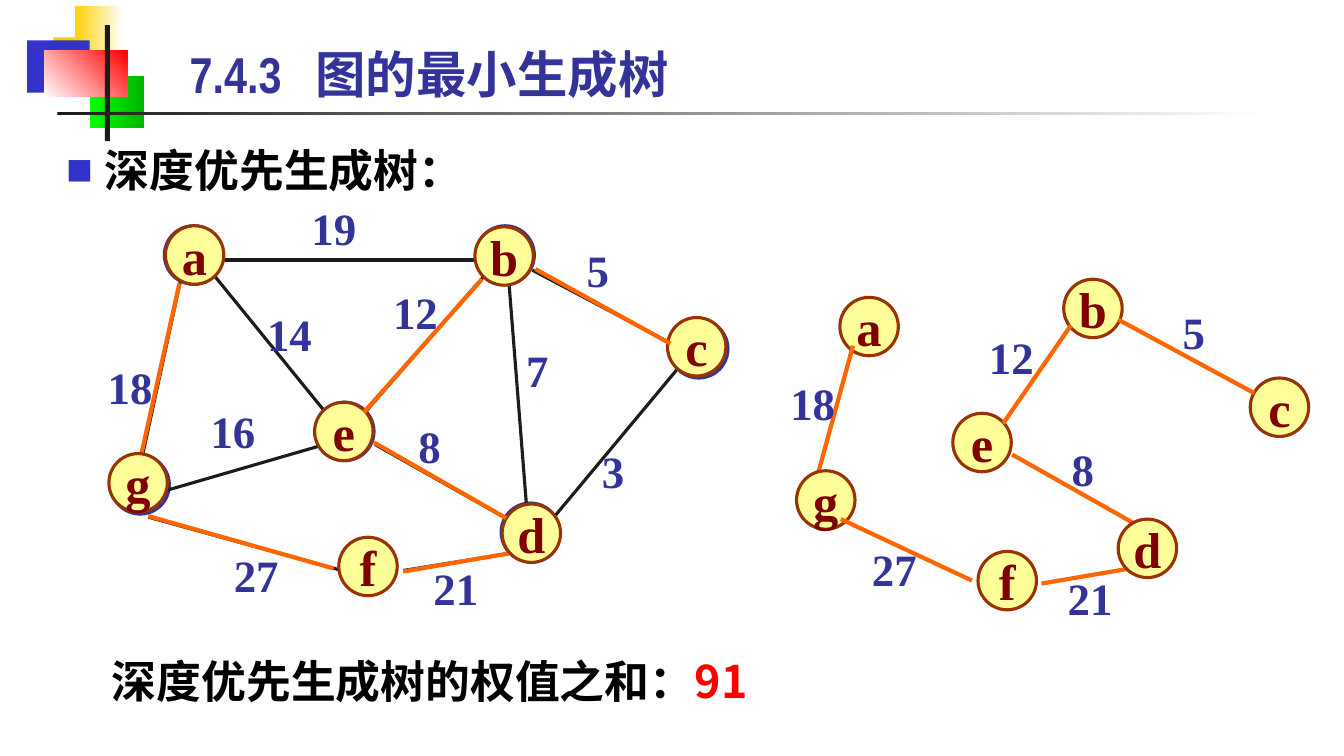
from dataclasses import dataclass
from typing import Optional, Union

from lxml import etree
from pptx import Presentation
from pptx import util as u
from pptx.dml.color import RGBColor
from pptx.enum import shapes, text
from pptx.oxml import ns
from pptx.shapes.autoshape import Shape
from pptx.shapes.shapetree import GroupShapes, SlideShapes
from pptx.text.text import Font, _Paragraph

Canvas = Union[SlideShapes, GroupShapes]


@dataclass(frozen=True)
class Theme:
    heading_font: str = "Arial Narrow"
    cjk_font: str = "Noto Sans CJK SC"
    graph_font: str = "Times New Roman"
    large: int = 36
    medium: int = 32
    navy: str = "333399"
    blue: str = "3333CC"
    ink: str = "1C1C1C"
    black: str = "000000"
    white: str = "FFFFFF"
    red: str = "FF0000"
    gold: str = "FFCF01"
    lime: str = "00FF00"
    green: str = "00B600"
    mint: str = "CCFFCC"
    cream: str = "FFFF99"
    brown: str = "993300"
    maroon: str = "800000"
    orange: str = "FF6600"


@dataclass(frozen=True)
class Band:
    left: float
    top: float
    width: float
    height: float
    start: str
    end: Optional[str] = None
    angle: int = 0


@dataclass(frozen=True)
class Vertex:
    name: str
    col: float
    row: float


@dataclass(frozen=True)
class Edge:
    col: float
    row: float
    end_col: float
    end_row: float


@dataclass(frozen=True)
class Weight:
    value: str
    col: float
    row: float


@dataclass(frozen=True)
class GraphStyle:
    fill: str
    outline: str
    letter: str
    edge: str
    edge_width: float


THEME = Theme()
NETWORK = GraphStyle(THEME.mint, THEME.navy, THEME.navy, THEME.ink, 2.25)
TREE = GraphStyle(THEME.cream, THEME.brown, THEME.maroon, THEME.orange, 3)
VERTEX_SIZE = 5.8
WEIGHT_HEIGHT = 6.3
WEIGHT_WIDTHS = {1: 4.2, 2: 6.5}

ORNAMENT = [
    Band(5.3, 3.7, 6.4, 5.2, THEME.gold),
    Band(7.4, 0.6, 4.8, 5.2, THEME.gold, THEME.white),
    Band(2.7, 4, 6.2, 5.2, THEME.blue),
    Band(8.9, 7.5, 5.4, 5.2, THEME.lime, THEME.green),
    Band(4.4, 5, 8.2, 4.6, THEME.white, THEME.red, 45),
    Band(10.4, 2.5, 0.5, 11.5, THEME.ink),
    Band(5.7, 11.1, 120, 0.3, THEME.ink, THEME.white),
]
NETWORK_PARTS = [
    Vertex("a", 16.3, 22.4), Vertex("b", 47.2, 22.4), Vertex("c", 66.4, 31.7),
    Vertex("d", 49.7, 49.9), Vertex("e", 31.3, 39.9), Vertex("g", 11, 45.2),
    Edge(22.2, 25.8, 47.2, 25.8), Edge(21.3, 27.4, 32.2, 40.8),
    Edge(48, 27.4, 36.3, 40.8), Edge(18, 27.4, 14, 45.8),
    Edge(16, 48.8, 32.2, 44.1), Edge(37.2, 44.1, 50.5, 51.6),
    Edge(52.8, 26.8, 67, 34.3), Edge(67.2, 36.6, 54.7, 51.6),
    Edge(50.5, 28.3, 52.2, 49.9), Edge(14.7, 51.3, 33.9, 56.6),
    Edge(50.5, 54.9, 40, 56.6),
    Weight("5", 57.2, 23.6), Weight("14", 25.5, 29.9), Weight("18", 9.7, 35.2),
    Weight("16", 19.9, 39.6), Weight("27", 22.2, 53.8), Weight("3", 58.7, 43.5),
    Weight("12", 38, 27.8), Weight("7", 51.2, 33.5), Weight("8", 40.5, 41.1),
    Weight("21", 42, 55.1),
]
TRAVERSAL_PARTS = [
    Vertex("a", 16.4, 22.4), Edge(17.8, 28.1, 13.9, 45.6),
    Vertex("g", 10.8, 45), Edge(14.7, 51.2, 33.1, 56.4),
    Vertex("f", 33.6, 53.3), Edge(40, 56.7, 50.5, 54.9),
    Vertex("d", 49.8, 50), Edge(50.2, 51.4, 37.1, 43.9),
    Vertex("c", 66.2, 31.5), Vertex("b", 47.1, 22.5), Vertex("e", 31.2, 39.9),
    Edge(36.1, 40.9, 47.8, 27.7), Edge(66.5, 34.1, 53.1, 26.7),
]
RESULT_PARTS = [
    Vertex("a", 83.3, 29.5), Edge(84.6, 34.3, 80.8, 48.2),
    Vertex("g", 79, 46.7), Edge(83.4, 51.5, 96.4, 57.6),
    Edge(103.3, 57.9, 113.8, 56.1), Edge(113.5, 52.5, 100.4, 45.1),
    Vertex("c", 124, 37.5), Vertex("b", 105.5, 27.7), Vertex("e", 94.5, 41),
    Edge(99.5, 42, 106.2, 32.3), Edge(124.4, 39, 110.9, 31.7),
    Vertex("f", 97, 54.7), Vertex("d", 110.9, 51.5),
    Weight("5", 116.3, 29.7), Weight("18", 77.4, 36.8), Weight("27", 85.5, 53.3),
    Weight("12", 97.1, 32.2), Weight("8", 105.3, 43.3), Weight("21", 104.9, 56.1),
]


def grid(*cells: float) -> list[u.Emu]:
    return [u.Inches(cell / 10) for cell in cells]


def rgb(value: str) -> RGBColor:
    return RGBColor.from_string(value)


def set_font(font: Font, name: str, size: int, color: str) -> None:
    font.name, font.size, font.bold = name, u.Pt(size), True
    font.color.rgb = rgb(color)


def set_east_asian(paragraph: _Paragraph) -> None:
    defaults = paragraph._p.find(".//" + ns.qn("a:defRPr"))
    etree.SubElement(defaults, ns.qn("a:ea"), typeface=THEME.cjk_font)


def add_property(paragraph: _Paragraph, tag: str, **attributes: str) -> etree._Element:
    properties = paragraph._p.get_or_add_pPr()
    return etree.SubElement(properties, ns.qn(tag), attributes)


def place(box: Shape, left: float, top: float, width: float, height: float) -> _Paragraph:
    box.left, box.top, box.width, box.height = grid(left, top, width, height)
    box.text_frame.word_wrap = True
    box.text_frame.auto_size = text.MSO_AUTO_SIZE.NONE
    paragraph = box.text_frame.paragraphs[0]
    paragraph.alignment = text.PP_ALIGN.LEFT
    paragraph.space_before = u.Pt(0)
    return paragraph


def draw_band(canvas: Canvas, band: Band) -> None:
    bar = canvas.add_shape(shapes.MSO_SHAPE.RECTANGLE,
                           *grid(band.left, band.top, band.width, band.height))
    bar.shadow.inherit = False
    bar.line.fill.background()
    if band.end is None:
        bar.fill.solid()
        bar.fill.fore_color.rgb = rgb(band.start)
        return
    bar.fill.gradient()
    bar.fill.gradient_angle = band.angle
    for stop, color in zip(bar.fill.gradient_stops, (band.start, band.end)):
        stop.color.rgb = rgb(color)


def draw_vertex(canvas: Canvas, vertex: Vertex, style: GraphStyle) -> None:
    circle = canvas.add_shape(shapes.MSO_SHAPE.OVAL,
                              *grid(vertex.col, vertex.row, VERTEX_SIZE, VERTEX_SIZE))
    circle.shadow.inherit = False
    circle.fill.solid()
    circle.fill.fore_color.rgb = rgb(style.fill)
    circle.line.color.rgb = rgb(style.outline)
    circle.line.width = u.Pt(2.25)
    frame = circle.text_frame
    frame.text, frame.word_wrap = vertex.name, False
    frame.vertical_anchor = text.MSO_ANCHOR.MIDDLE
    letter = frame.paragraphs[0]
    letter.alignment = text.PP_ALIGN.CENTER
    set_font(letter.font, THEME.graph_font, THEME.large, style.letter)


def draw_edge(canvas: Canvas, edge: Edge, style: GraphStyle) -> None:
    link = canvas.add_connector(shapes.MSO_CONNECTOR.STRAIGHT,
                                *grid(edge.col, edge.row, edge.end_col, edge.end_row))
    link.line.color.rgb = rgb(style.edge)
    link.line.width = u.Pt(style.edge_width)
    etree.SubElement(link._element.spPr, ns.qn("a:effectLst"))


def draw_weight(canvas: Canvas, weight: Weight) -> None:
    width = WEIGHT_WIDTHS[len(weight.value)]
    label = canvas.add_textbox(*grid(weight.col, weight.row, width, WEIGHT_HEIGHT))
    frame = label.text_frame
    frame.text, frame.word_wrap = weight.value, False
    frame.auto_size = text.MSO_AUTO_SIZE.SHAPE_TO_FIT_TEXT
    set_font(frame.paragraphs[0].font, THEME.graph_font, THEME.medium, THEME.navy)


def draw_graph(canvas: Canvas, parts: list[Union[Vertex, Edge, Weight]], style: GraphStyle) -> None:
    for part in parts:
        if isinstance(part, Vertex):
            draw_vertex(canvas, part, style)
        elif isinstance(part, Edge):
            draw_edge(canvas, part, style)
        else:
            draw_weight(canvas, part)


def write_heading(title: Shape) -> None:
    heading = place(title, 17.8, 2.5, 113.6, 8.3)
    title.text_frame.vertical_anchor = text.MSO_ANCHOR.BOTTOM
    heading.text = "7.4.3\t图的最小生成树"
    stops = add_property(heading, "a:tabLst")
    etree.SubElement(stops, ns.qn("a:tab"), pos=str(u.Inches(1.25)), algn="l")
    set_font(heading.font, THEME.heading_font, THEME.large, THEME.navy)
    set_east_asian(heading)


def write_topic(body: Shape) -> None:
    topic = place(body, 5.6, 13.7, 124.3, 6.3)
    topic.text = "深度优先生成树："
    indent = u.Inches(0.38)
    topic._p.get_or_add_pPr().set("marL", str(indent))
    topic._p.pPr.set("indent", str(-indent))
    etree.SubElement(add_property(topic, "a:buClr"), ns.qn("a:srgbClr"), val=THEME.blue)
    add_property(topic, "a:buSzPct", val="60000")
    add_property(topic, "a:buFont", typeface=THEME.cjk_font)
    add_property(topic, "a:buChar", char="■")
    set_font(topic.font, THEME.cjk_font, THEME.medium, THEME.black)
    set_east_asian(topic)


def write_total(canvas: Canvas) -> None:
    total = place(canvas.add_textbox(0, 0, 0, 0), 10.1, 64.4, 124.3 - 2, 6.3)
    set_font(total.font, THEME.cjk_font, THEME.medium, THEME.black)
    set_east_asian(total)
    total.add_run().text = "深度优先生成树的权值之和："
    weight_sum = total.add_run()
    weight_sum.text = "91"
    weight_sum.font.color.rgb = rgb(THEME.red)


def main() -> None:
    deck = Presentation()
    deck.slide_width, deck.slide_height = grid(133.3, 75)
    slide = deck.slides.add_slide(deck.slide_layouts[1])
    canvas = slide.shapes
    write_heading(canvas.title)
    write_topic(slide.placeholders[1])
    for band in ORNAMENT:
        draw_band(canvas, band)
    draw_graph(canvas.add_group_shape().shapes, NETWORK_PARTS, NETWORK)
    draw_graph(canvas, TRAVERSAL_PARTS, TREE)
    draw_graph(canvas.add_group_shape().shapes, RESULT_PARTS, TREE)
    draw_weight(canvas, Weight("19", 29.9, 19.4))
    write_total(canvas)
    deck.save("out.pptx")


if __name__ == "__main__":
    main()
